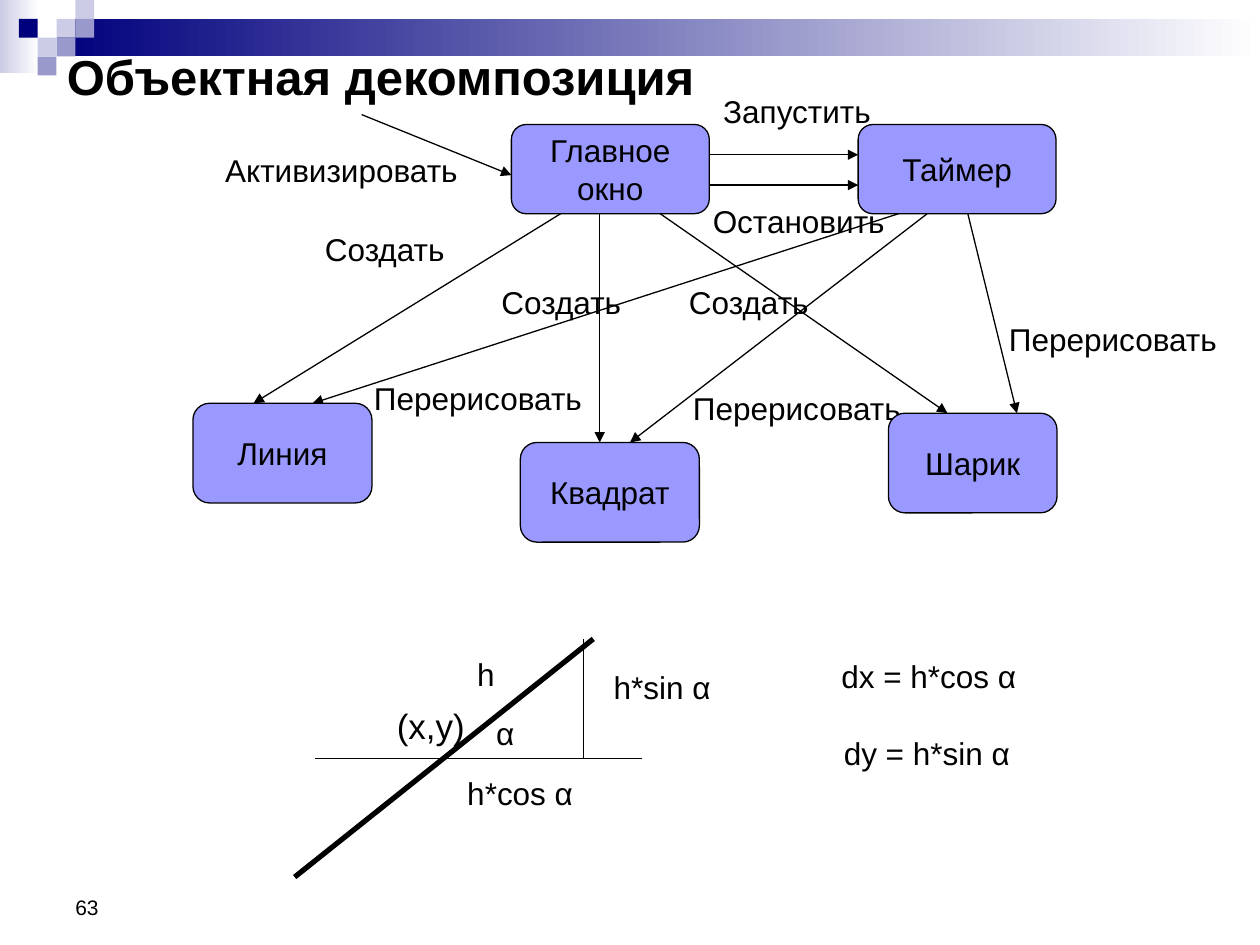
from lxml import etree
from pptx import Presentation
from pptx import util as u
from pptx.dml.color import RGBColor
from pptx.enum import shapes, text
from pptx.oxml import ns

BLACK = RGBColor(0, 0, 0)
WHITE = RGBColor(255, 255, 255)
NAVY = RGBColor(0x00, 0x00, 0x7D)
PALE = RGBColor(0xCC, 0xCC, 0xE6)
LAVENDER = RGBColor(0x99, 0x99, 0xCC)
VIOLET = RGBColor(0x99, 0x99, 0xFF)
TILE = 0.38

deck = Presentation()
deck.slide_width, deck.slide_height = u.Cm(25.4), u.Cm(19.05)
page = deck.slides.add_slide(deck.slide_layouts[6])


def add_block(preset, left, top, width, height):
    block = page.shapes.add_shape(preset, u.Cm(left), u.Cm(top), u.Cm(width), u.Cm(height))
    block.shadow.inherit = False
    block.line.fill.background()
    return block


def add_words(frame, lines, size, bold=False, align=text.PP_ALIGN.LEFT):
    for index, line in enumerate(lines):
        para = frame.add_paragraph() if index else frame.paragraphs[0]
        para.alignment = align
        span = para.add_run()
        span.text = line
        span.font.name = "Arial"
        span.font.size = u.Pt(size)
        span.font.bold = bold
        span.font.color.rgb = BLACK


for place, start in [
    ((0, 0, 0.79, 1.47), PALE),
    ((3 * TILE, TILE, 24.26, 2 * TILE), NAVY),
]:
    band = add_block(shapes.MSO_SHAPE.RECTANGLE, *place)
    band.fill.gradient()
    band.fill.gradient_angle = 0
    for stop, color in zip(band.fill.gradient_stops, (start, WHITE)):
        stop.color.rgb = color

for column, row, color in [
    (3, 1, PALE), (4, 0, PALE), (4, 1, LAVENDER), (2, 2, PALE),
    (1, 1, NAVY), (3, 2, LAVENDER), (2, 3, LAVENDER),
]:
    tile = add_block(shapes.MSO_SHAPE.RECTANGLE, column * TILE, row * TILE, TILE, TILE)
    tile.fill.solid()
    tile.fill.fore_color.rgb = color

for words, left, top, width, height, size, bold, anchor in [
    ("63", 1.27, 17.35, 5.92, 1.32, 12, False, text.MSO_ANCHOR.BOTTOM),
    ("Объектная декомпозиция", 1.1, 0.93, 23.62, 1.22, 28, True, text.MSO_ANCHOR.MIDDLE),
]:
    box = page.shapes.add_textbox(u.Cm(left), u.Cm(top), u.Cm(width), u.Cm(height))
    box.text_frame.word_wrap = True
    box.text_frame.vertical_anchor = anchor
    add_words(box.text_frame, [words], size, bold)

for words, left, top, width, size in [
    ("h*sin α", 12.12, 13.34, 2.49, 18),
    ("h", 9.37, 13.08, 0.86, 18),
    ("h*cos α", 9.17, 15.47, 2.67, 18),
    ("α", 9.75, 14.27, 0.91, 18),
    ("(x,y)", 7.75, 14.07, 1.88, 20),
    ("dx = h*cos α", 16.71, 13.13, 4.24, 18),
    ("dy = h*sin α", 16.76, 14.68, 4.06, 18),
    ("Активизировать", 4.29, 2.92, 5.25, 18),
    ("Создать", 6.3, 4.52, 2.95, 18),
    ("Создать", 9.86, 5.59, 2.95, 18),
    ("Создать", 13.64, 5.59, 2.95, 18),
    ("Перерисовать", 7.29, 7.52, 4.75, 18),
    ("Перерисовать", 13.72, 7.72, 4.75, 18),
    ("Перерисовать", 20.09, 6.32, 4.75, 18),
    ("Запустить", 14.33, 1.73, 3.55, 18),
    ("Остановить", 14.12, 3.94, 4.1, 18),
]:
    label = page.shapes.add_textbox(u.Cm(left), u.Cm(top), u.Cm(width), u.Cm(size * 0.056))
    label.text_frame.word_wrap = False
    label.text_frame.auto_size = text.MSO_AUTO_SIZE.SHAPE_TO_FIT_TEXT
    add_words(label.text_frame, [words], size)

for x1, y1, x2, y2, weight, arrow in [
    (5.94, 17.68, 11.96, 12.88, 3, False),
    (6.35, 15.29, 12.95, 15.29, 0.75, False),
    (11.76, 12.88, 11.76, 15.29, 0.75, False),
    (7.29, 2.31, 10.31, 3.53, 0.75, True),
    (11.3, 4.31, 5.11, 8.13, 0.75, True),
    (18.11, 4.31, 6.3, 8.13, 0.75, True),
    (12.09, 4.31, 12.09, 8.92, 0.75, True),
    (18.69, 4.31, 12.7, 8.92, 0.75, True),
    (13.31, 4.31, 19.1, 8.33, 0.75, True),
    (19.51, 4.31, 20.5, 8.33, 0.75, True),
    (14.3, 3.12, 17.3, 3.12, 0.75, True),
    (14.3, 3.73, 17.3, 3.73, 0.75, True),
]:
    link = page.shapes.add_connector(
        shapes.MSO_CONNECTOR.STRAIGHT, u.Cm(x1), u.Cm(y1), u.Cm(x2), u.Cm(y2))
    link.line.color.rgb = BLACK
    link.line.width = u.Pt(weight)
    properties = link._element.spPr
    if arrow:
        etree.SubElement(properties.get_or_add_ln(), ns.qn("a:tailEnd"), type="triangle")
    etree.SubElement(properties, ns.qn("a:effectLst"))

for lines, left, top, width, height in [
    (["Главное", "окно"], 10.31, 2.51, 3.99, 1.8),
    (["Таймер"], 17.3, 2.51, 3.99, 1.8),
    (["Линия"], 3.89, 8.13, 3.61, 2.01),
    (["Квадрат"], 10.49, 8.92, 3.61, 2.01),
    (["Шарик"], 17.91, 8.33, 3.4, 2.01),
]:
    node = add_block(shapes.MSO_SHAPE.ROUNDED_RECTANGLE, left, top, width, height)
    node.fill.solid()
    node.fill.fore_color.rgb = VIOLET
    node.line.color.rgb = BLACK
    node.line.width = u.Pt(0.75)
    node.text_frame.word_wrap = False
    node.text_frame.vertical_anchor = text.MSO_ANCHOR.MIDDLE
    add_words(node.text_frame, lines, 18, align=text.PP_ALIGN.CENTER)

deck.save("out.pptx")
